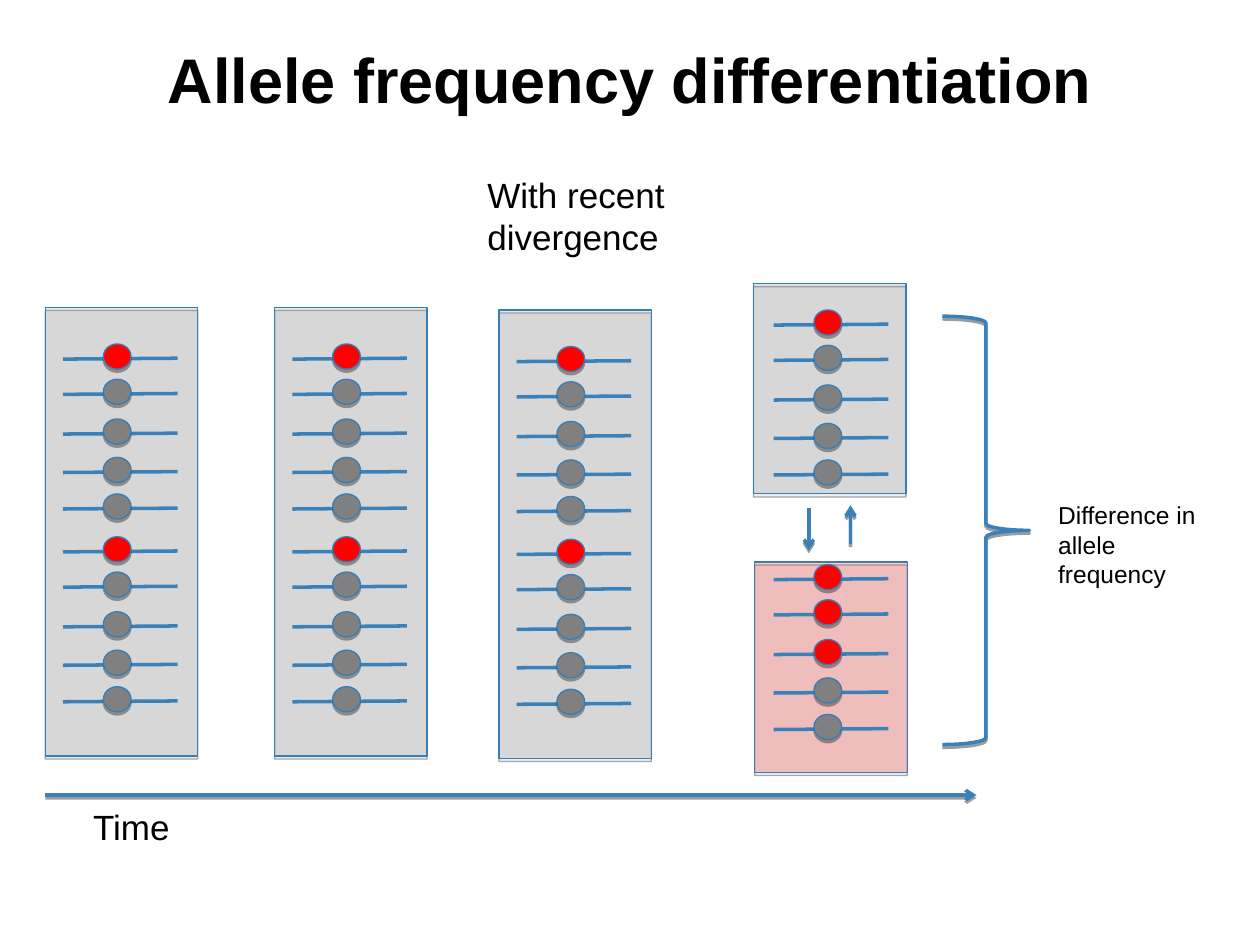
from lxml.etree import SubElement
from pptx import Presentation
from pptx.dml.color import RGBColor
from pptx.enum.shapes import MSO_CONNECTOR, MSO_SHAPE
from pptx.enum.text import MSO_ANCHOR, MSO_AUTO_SIZE, PP_ALIGN
from pptx.oxml.ns import qn
from pptx.util import Inches, Pt

STRAND = "3A81BA"
OUTLINE = "357EB8"
GRAY = "808080"
RED = "FF0000"


def paint(item, line, weight, fill=None, opacity=100, shadow=None, arrow=False):
    item.line.color.rgb = RGBColor.from_string(line)
    item.line.width = Pt(weight)
    if fill:
        item.fill.solid()
        item.fill.fore_color.rgb = RGBColor.from_string(fill)
        tint = item.fill._xPr.find(qn("a:solidFill"))[0]
        SubElement(tint, qn("a:alpha"), val=str(opacity * 1000))
    if arrow:
        SubElement(item.line._get_or_add_ln(), qn("a:tailEnd"), type="arrow")
    effects = SubElement(item._element.spPr, qn("a:effectLst"))
    if shadow:
        distance, strength = shadow
        cast = SubElement(effects, qn("a:outerShdw"), blurRad="0",
                          dist=str(Pt(distance)), dir="5400000", rotWithShape="0")
        black = SubElement(cast, qn("a:srgbClr"), val="000000")
        SubElement(black, qn("a:alpha"), val=str(strength * 1000))


def write(frame, text, size, bold=False, align=PP_ALIGN.LEFT, color="000000"):
    frame.text = text
    for paragraph in frame.paragraphs:
        paragraph.alignment = align
        paragraph.font.name = "Arial"
        paragraph.font.size = Pt(size)
        paragraph.font.bold = bold
        paragraph.font.color.rgb = RGBColor.from_string(color)


deck = Presentation()
deck.slide_width, deck.slide_height = Inches(10), Inches(7.5)
col = deck.slide_width / 100
row = deck.slide_height / 75
slide = deck.slides.add_slide(deck.slide_layouts[5])
shapes = slide.shapes

title = shapes.title
title.left, title.top = int(5 * col), 0
title.width, title.height = int(90 * col), int(12.5 * row)
heading = title.text_frame
heading.margin_left = heading.margin_right = int(col)
heading.margin_top = heading.margin_bottom = int(row)
heading.vertical_anchor = MSO_ANCHOR.MIDDLE
write(heading, "Allele frequency differentiation", 36, bold=True, align=PP_ALIGN.CENTER)

solid_shadow = (1.8, 35)
line_shadow = (1.6, 38)
populations = [
    (3.6, 24.4, 35.6, GRAY),
    (21.8, 24.4, 35.6, GRAY),
    (39.6, 24.6, 35.6, GRAY),
    (59.8, 22.5, 16.7, GRAY),
    (59.9, 44.6, 16.7, RED),
]
for left, top, height, tint in populations:
    population = shapes.add_shape(MSO_SHAPE.RECTANGLE, int(left * col), int(top * row),
                                  int(12.1 * col), int(height * row))
    paint(population, OUTLINE, 0.75, tint, opacity=20, shadow=solid_shadow)

locus_steps = [0, 2.8, 5.95, 9, 11.9]
locus_groups = [
    (5, 27.3, 1), (5, 42.6, 1),
    (23.2, 27.3, 1), (23.2, 42.6, 1),
    (41, 27.5, 1), (41, 42.8, 1),
    (61.4, 24.6, 1), (61.4, 44.8, 3),
]
for left, top, red_count in locus_groups:
    for index, step in enumerate(locus_steps):
        level = top + step
        strand = shapes.add_connector(
            MSO_CONNECTOR.STRAIGHT, int(left * col), int((level + 1.2) * row),
            int((left + 9.1) * col), int((level + 1.13) * row))
        paint(strand, STRAND, 2)
        allele = shapes.add_shape(MSO_SHAPE.OVAL, int((left + 3.2) * col), int(level * row),
                                  int(2.2 * col), int(2 * row))
        paint(allele, OUTLINE, 0.75, RED if index < red_count else GRAY, shadow=solid_shadow)

brace = shapes.add_shape(MSO_SHAPE.RIGHT_BRACE, int(74.8 * col), int(25.1 * row),
                         int(6.9 * col), int(34 * row))
brace.adjustments[0], brace.adjustments[1] = 0.08, 0.5
brace.fill.background()
paint(brace, STRAND, 2, shadow=line_shadow)

arrows = [
    (64.2, 40.3, 64.2, 43.7),
    (67.5, 43.2, 67.5, 40.1),
    (3.6, 63.1, 77.5, 63.1),
]
for start_x, start_y, end_x, end_y in arrows:
    flow = shapes.add_connector(MSO_CONNECTOR.STRAIGHT, int(start_x * col), int(start_y * row),
                                int(end_x * col), int(end_y * row))
    paint(flow, STRAND, 2, shadow=line_shadow, arrow=True)

labels = [
    ("Difference in\nallele frequency", 83, 39.2, 15.6, 5.7, 14),
    ("With recent divergence", 37.7, 13.3, 30.4, 4.3, 20),
    ("Time", 6.4, 63.4, 8.1, 4.3, 20),
]
for text, left, top, width, height, size in labels:
    label = shapes.add_textbox(int(left * col), int(top * row),
                               int(width * col), int(height * row)).text_frame
    label.word_wrap = False
    label.auto_size = MSO_AUTO_SIZE.SHAPE_TO_FIT_TEXT
    write(label, text, size)

deck.save("out.pptx")
